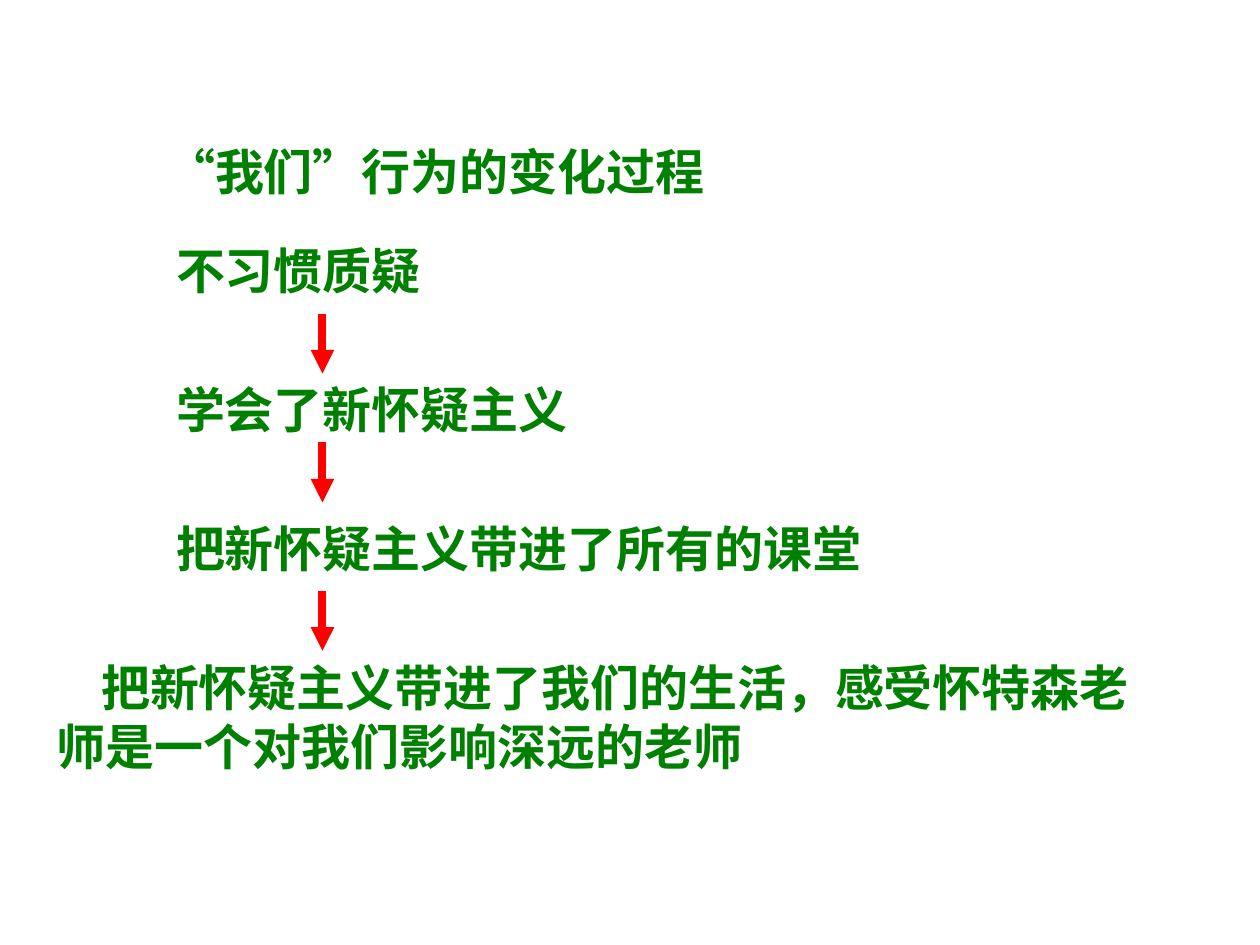
"""Build the slide that traces how "our" behaviour changes step by step."""
import lxml.etree
import pptx
import pptx.dml.color
import pptx.enum.shapes
import pptx.enum.text
import pptx.oxml.ns
import pptx.util
from pptx.util import Cm

COLORS = {"text": "008000", "arrow": "FF0000"}
LATIN, CHINESE = "Arial", "Noto Sans CJK SC"

TITLE = [("“", LATIN), ("我们", CHINESE), ("”", LATIN), ("行为的变化过程", CHINESE)]
STEPS = ["不习惯质疑", "学会了新怀疑主义", "把新怀疑主义带进了所有的课堂"]
OUTCOME = "把新怀疑主义带进了我们的生活，感受怀特森老师是一个对我们影响深远的老师"

STEP_LEFT, STEP_TOP, STEP_PITCH = 3.3, 4.72, 2.8
LINE_HEIGHT = 1.45
ARROW_X, ARROW_LENGTH = 6.5, 1.21
ARROW_TOPS = [6.32, 8.92, 11.91]


def color(name):
    return pptx.dml.color.RGBColor.from_string(COLORS[name])


def add_text(slide, runs, left, top, width, height=LINE_HEIGHT, indent=0):
    shape = slide.shapes.add_textbox(Cm(left), Cm(top), Cm(width), Cm(height))
    frame = shape.text_frame
    frame.word_wrap = True
    frame.auto_size = pptx.enum.text.MSO_AUTO_SIZE.NONE
    paragraph = frame.paragraphs[0]
    paragraph.line_spacing = pptx.util.Pt(33.7)
    if indent:
        paragraph._p.get_or_add_pPr().set("indent", str(Cm(indent)))
    for text, font_name in runs:
        run = paragraph.add_run()
        run.text = text
        run.font.name = font_name
        run.font.size = pptx.util.Pt(28)
        run.font.bold = True
        run.font.color.rgb = color("text")
        east_asian = lxml.etree.SubElement(run.font._element, pptx.oxml.ns.qn("a:ea"))
        east_asian.set("typeface", CHINESE)


def add_arrow(slide, top):
    arrow = slide.shapes.add_connector(
        pptx.enum.shapes.MSO_CONNECTOR.STRAIGHT,
        Cm(ARROW_X), Cm(top), Cm(ARROW_X), Cm(top + ARROW_LENGTH))
    arrow.line.color.rgb = color("arrow")
    arrow.line.width = pptx.util.Pt(4.5)
    head = lxml.etree.SubElement(arrow.line._get_or_add_ln(), pptx.oxml.ns.qn("a:tailEnd"))
    head.set("type", "triangle")
    lxml.etree.SubElement(arrow._element.spPr, pptx.oxml.ns.qn("a:effectLst"))


def main():
    presentation = pptx.Presentation()
    presentation.slide_width, presentation.slide_height = Cm(25.4), Cm(19.05)
    slide = presentation.slides.add_slide(presentation.slide_layouts[6])
    add_text(slide, TITLE, 3.1, 2.72, 13)
    for index, step in enumerate(STEPS):
        add_text(slide, [(step, CHINESE)], STEP_LEFT, STEP_TOP + index * STEP_PITCH, 18.6)
    add_text(slide, [(OUTCOME, CHINESE)], 0.9, STEP_TOP + len(STEPS) * STEP_PITCH, 22.2,
             height=2.64, indent=0.89)
    for top in ARROW_TOPS:
        add_arrow(slide, top)
    presentation.save("out.pptx")


if __name__ == "__main__":
    main()
